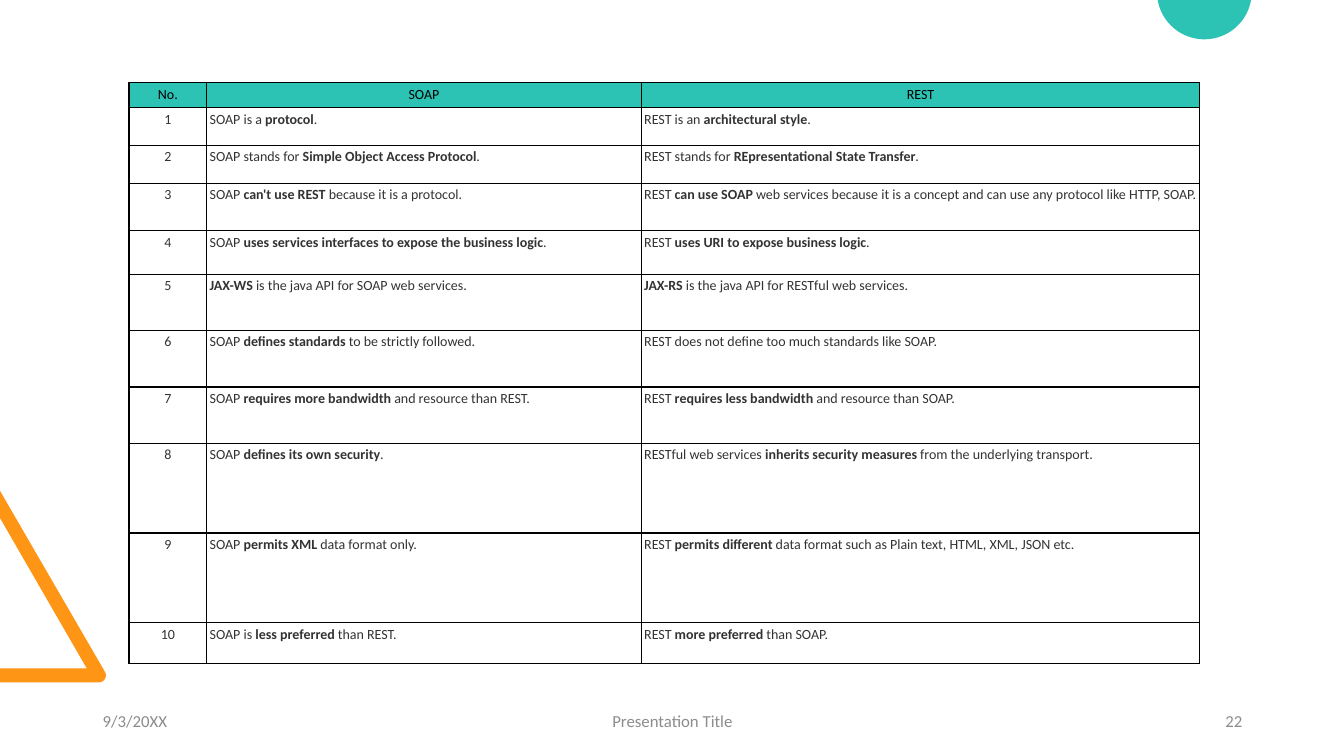
import math

import pptx
import pptx.dml.color
import pptx.enum.text
import pptx.oxml
import pptx.oxml.ns
import pptx.util

PX = 9144
COLORS = {
    "teal": "2CC3B4",
    "orange": "FF9514",
    "white": "FFFFFF",
    "black": "000000",
    "body": "333333",
    "footer": "8C8C8C",
}
ALIGN = pptx.enum.text.PP_ALIGN
HEADER = ("No.", "SOAP", "REST")
COMPARISON = [
    ("SOAP is a **protocol**.", "REST is an **architectural style**."),
    ("SOAP stands for **Simple Object Access Protocol**.",
     "REST stands for **REpresentational State Transfer**."),
    ("SOAP **can't use REST** because it is a protocol.",
     "REST **can use SOAP** web services because it is a concept "
     "and can use any protocol like HTTP, SOAP."),
    ("SOAP **uses services interfaces to expose the business logic**.",
     "REST **uses URI to expose business logic**."),
    ("**JAX-WS** is the java API for SOAP web services.",
     "**JAX-RS** is the java API for RESTful web services."),
    ("SOAP **defines standards **to be strictly followed.",
     "REST does not define too much standards like SOAP."),
    ("SOAP **requires more bandwidth** and resource than REST.",
     "REST **requires less bandwidth** and resource than SOAP."),
    ("SOAP **defines its own security**.",
     "RESTful web services **inherits security measures** from the underlying transport."),
    ("SOAP **permits XML** data format only.",
     "REST **permits different** data format such as Plain text, HTML, XML, JSON etc."),
    ("SOAP is **less preferred** than REST.", "REST **more preferred** than SOAP."),
]
COLUMN_WIDTHS = (77, 431, 554)
ROW_HEIGHTS = (25, 37, 38, 47, 43, 56, 56, 56, 89, 89, 40)


def px(value):
    return pptx.util.Emu(round(value * PX))


def rgb(name):
    return pptx.dml.color.RGBColor.from_string(COLORS[name])


def arc(cx, cy, radius, start, end, steps=40):
    angles = [math.radians(start + (end - start) * i / steps) for i in range(steps + 1)]
    return [(cx + radius * math.cos(a), cy + radius * math.sin(a)) for a in angles]


class Slide:
    font = "Calibri"

    def __init__(self, prs):
        self.s = prs.slides.add_slide(prs.slide_layouts[6])

    def outline(self, points, color):
        points = [(px(x), px(y)) for x, y in points]
        builder = self.s.shapes.build_freeform(*points[0], scale=1.0)
        builder.add_line_segments(points[1:], close=True)
        sp = builder.convert_to_shape()
        sp.shadow.inherit = False
        sp.fill.solid()
        sp.fill.fore_color.rgb = rgb(color)
        sp.line.fill.background()

    def rich_text(self, p, text, size, color, align):
        p.alignment = align
        for i, part in enumerate(text.split("**")):
            if part:
                r = p.add_run()
                r.text = part
                r.font.name = self.font
                r.font.size = pptx.util.Pt(size)
                r.font.bold = i % 2 == 1
                r.font.color.rgb = rgb(color)

    def label(self, x, y, w, h, text, align):
        tf = self.s.shapes.add_textbox(px(x), px(y), px(w), px(h)).text_frame
        tf.word_wrap = True
        tf.vertical_anchor = pptx.enum.text.MSO_ANCHOR.MIDDLE
        self.rich_text(tf.paragraphs[0], text, 12, "footer", align)

    def cell(self, cell, text, header, align):
        tcPr = cell._tc.get_or_add_tcPr()
        for side in "LRTB":
            tcPr.append(pptx.oxml.parse_xml(
                f'<a:ln{side} {pptx.oxml.ns.nsdecls("a")} w="12700"><a:solidFill>'
                f'<a:srgbClr val="{COLORS["black"]}"/></a:solidFill></a:ln{side}>'))
        cell.fill.solid()
        cell.fill.fore_color.rgb = rgb("teal" if header else "white")
        margin = px(4 if header else 3)
        cell.margin_left = cell.margin_right = margin
        cell.margin_top = cell.margin_bottom = margin
        self.rich_text(cell.text_frame.paragraphs[0], text, 10,
                       "black" if header else "body", align)

    def table(self, x, y, widths, heights, rows):
        table = self.s.shapes.add_table(
            len(heights), len(widths), px(x), px(y),
            px(sum(widths)), px(sum(heights))).table
        table.first_row = table.horz_banding = False
        for column, width in zip(table.columns, widths):
            column.width = px(width)
        for i, (row, height) in enumerate(zip(table.rows, heights)):
            row.height = px(height)
            for j, text in enumerate(rows[i]):
                centred = i == 0 or j == 0
                self.cell(row.cells[j], text, i == 0,
                          ALIGN.CENTER if centred else ALIGN.LEFT)


def main():
    prs = pptx.Presentation()
    prs.slide_width, prs.slide_height = px(1333), px(750)
    slide = Slide(prs)
    slide.outline([(0, 677), (0, 663), (86, 663), (0, 514), (0, 487)]
                  + arc(98, 670, 7, -30, 90), "orange")
    slide.outline(arc(1194.5, -8, 47, 10, 170), "teal")
    slide.label(92, 695, 300, 40, "9/3/20XX", ALIGN.LEFT)
    slide.label(442, 695, 450, 40, "Presentation Title", ALIGN.CENTER)
    slide.label(942, 695, 300, 40, "22", ALIGN.RIGHT)
    numbered = [(str(n), *pair) for n, pair in enumerate(COMPARISON, 1)]
    slide.table(128, 82, COLUMN_WIDTHS, ROW_HEIGHTS, [HEADER] + numbered)
    prs.save("out.pptx")


if __name__ == "__main__":
    main()
